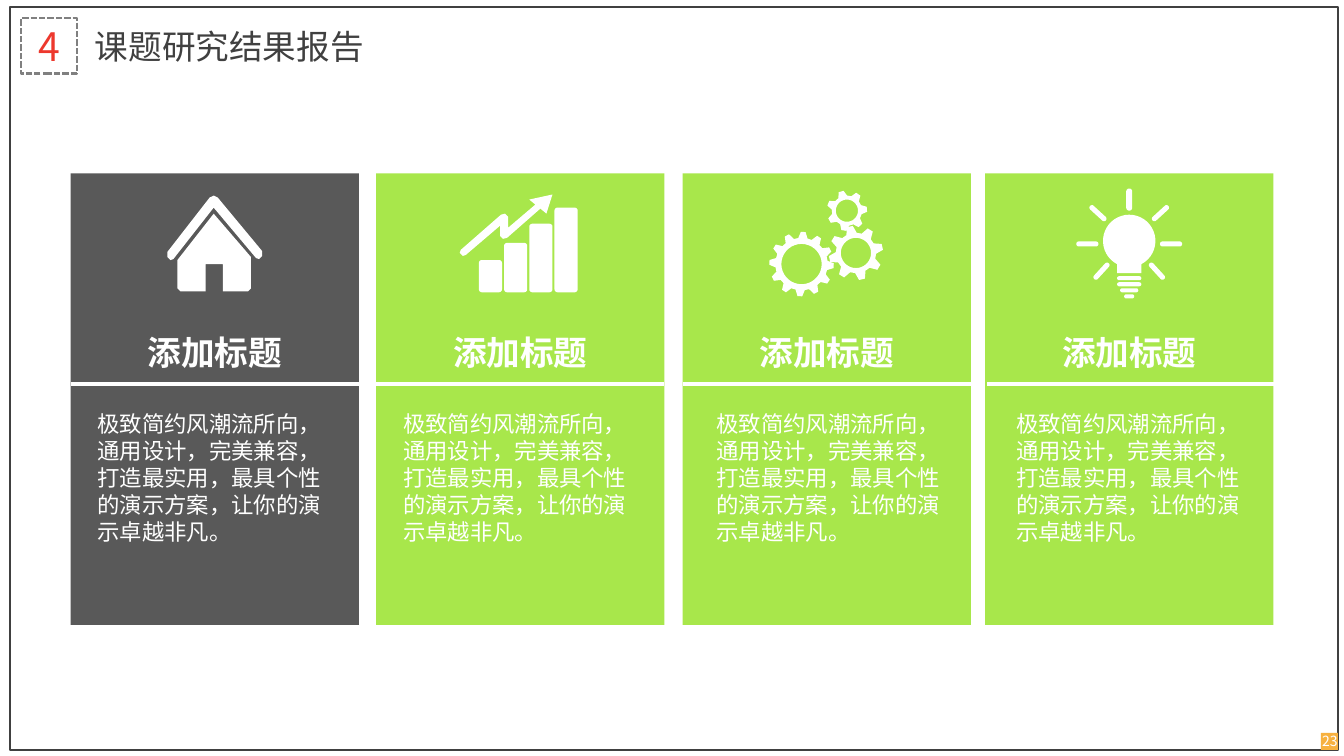
import math
from dataclasses import dataclass

import lxml.etree
import pptx
import pptx.dml.color
import pptx.enum.dml
import pptx.enum.shapes
import pptx.enum.text
import pptx.oxml.ns
import pptx.util

Inches = pptx.util.Inches
Align = pptx.enum.text.PP_ALIGN
ShapeType = pptx.enum.shapes.MSO_SHAPE


@dataclass(frozen=True)
class Theme:
    font: str = "Noto Sans CJK SC"
    ink: str = "404040"
    dash: str = "808080"
    red: str = "ED382D"
    orange: str = "F7B13F"
    gray: str = "595959"
    green: str = "A8E74B"
    white: str = "FFFFFF"
    number: int = 28
    heading: int = 24
    body: int = 16
    page: int = 10
    leading: float = 1.2


def arc(x, y, radius, start=0, end=360, steps=36):
    angles = [math.radians(start + (end - start) * i / steps) for i in range(steps + 1)]
    return [(x + radius * math.cos(a), y + radius * math.sin(a)) for a in angles]


def strip(x1, y1, x2, y2, width):
    angle = math.degrees(math.atan2(y2 - y1, x2 - x1))
    return (arc(x2, y2, width / 2, angle - 90, angle + 90, 8)
            + arc(x1, y1, width / 2, angle + 90, angle + 270, 8))


def rounded_box(left, top, right, bottom, radius):
    corners = [(right - radius, bottom - radius), (left + radius, bottom - radius),
               (left + radius, top + radius), (right - radius, top + radius)]
    return [point for i, (x, y) in enumerate(corners)
            for point in arc(x, y, radius, 90 * i, 90 * i + 90, 4)]


def gear(x, y, outer, root, hole, teeth, phase):
    pitch = 360 / teeth
    profile = [(-0.34, root), (-0.14, outer), (0.14, outer), (0.34, root)]
    rim = []
    for tooth in range(teeth):
        for offset, radius in profile:
            angle = math.radians(phase + pitch * (tooth + offset))
            rim.append((x + radius * math.cos(angle), y + radius * math.sin(angle)))
    return [rim, arc(x, y, hole)]


def house():
    walls = [(2.12, 2.12), (2.49, 2.55), (2.49, 2.86), (2.46, 2.89), (2.21, 2.89),
             (2.21, 2.62), (2.04, 2.62), (2.04, 2.89), (1.79, 2.89), (1.76, 2.86),
             (1.76, 2.58)]
    roof = [(2.12, 1.94), (2.16, 1.96), (2.6, 2.49), (2.6, 2.54), (2.57, 2.57),
            (2.54, 2.56), (2.12, 2.06), (1.72, 2.57), (1.69, 2.58), (1.66, 2.55),
            (1.66, 2.5), (2.08, 1.96)]
    return [walls, roof]


def growth():
    arrow = [(5.48, 1.93), (5.42, 2.12), (5.36, 2.07), (5.03, 2.36), (4.99, 2.37),
             (4.96, 2.34), (4.96, 2.24), (4.62, 2.53), (4.59, 2.54), (4.56, 2.51),
             (4.57, 2.48), (4.97, 2.13), (5.01, 2.12), (5.04, 2.15), (5.04, 2.26),
             (5.31, 2.03), (5.25, 1.98)]
    bars = [rounded_box(4.75 + 0.25 * i, top, 4.98 + 0.25 * i, 2.9, 0.03)
            for i, top in enumerate([2.58, 2.41, 2.22, 2.06])]
    return bars + [arrow]


def bulb():
    center = 11.2
    glass = arc(center, 2.39, 0.26, 117.5, 422.5)
    outlines = [glass + [(center + 0.12, 2.71), (center - 0.12, 2.71)],
                strip(center, 1.9, center, 2.06, 0.06)]
    for i, half in enumerate([0.1, 0.1, 0.07, 0.03]):
        y = 2.76 + 0.06 * i
        outlines.append(strip(center - half, y, center + half, y, 0.04))
    rays = [(0.37, 2.06, 0.25, 2.17), (0.5, 2.42, 0.33, 2.42), (0.22, 2.63, 0.33, 2.75)]
    for side in (-1, 1):
        for x1, y1, x2, y2 in rays:
            outlines.append(strip(center + side * x1, y1, center + side * x2, y2, 0.05))
    return outlines


class SlideBuilder:
    def __init__(self, presentation, theme):
        self.theme = theme
        self.slide = presentation.slides.add_slide(presentation.slide_layouts[5])

    def color(self, value):
        return pptx.dml.color.RGBColor.from_string(value)

    def fill_text(self, shape, text, size, color, align=Align.LEFT, bold=False, middle=True):
        frame = shape.text_frame
        frame.word_wrap = True
        frame.auto_size = pptx.enum.text.MSO_AUTO_SIZE.NONE
        anchor = pptx.enum.text.MSO_ANCHOR
        frame.vertical_anchor = anchor.MIDDLE if middle else anchor.TOP
        paragraph = frame.paragraphs[0]
        paragraph.alignment = align
        paragraph.line_spacing = pptx.util.Pt(size * self.theme.leading)
        run = paragraph.add_run()
        run.text = text
        run.font.size = pptx.util.Pt(size)
        run.font.bold = bold
        run.font.name = self.theme.font
        run.font.color.rgb = self.color(color)
        east_asian = lxml.etree.SubElement(run.font._element, pptx.oxml.ns.qn("a:ea"))
        east_asian.set("typeface", self.theme.font)

    def title(self, box, text):
        shape = self.slide.shapes.title
        shape.left, shape.top, shape.width, shape.height = map(Inches, box)
        self.fill_text(shape, text, self.theme.heading, self.theme.ink)

    def text(self, box, text, size, **style):
        shape = self.slide.shapes.add_textbox(*map(Inches, box))
        self.fill_text(shape, text, size, self.theme.white, **style)

    def rectangle(self, box, fill=None, line=None, width=1, dash=None):
        shape = self.slide.shapes.add_shape(ShapeType.RECTANGLE, *map(Inches, box))
        shape.shadow.inherit = False
        if fill:
            shape.fill.solid()
            shape.fill.fore_color.rgb = self.color(fill)
        else:
            shape.fill.background()
        if line:
            shape.line.color.rgb = self.color(line)
            shape.line.width = pptx.util.Pt(width)
            shape.line.dash_style = dash
        else:
            shape.line.fill.background()
        return shape

    def section_number(self, box, text):
        shape = self.rectangle(box, line=self.theme.dash, width=1.5,
                               dash=pptx.enum.dml.MSO_LINE.SQUARE_DOT)
        frame = shape.text_frame
        frame.margin_left = frame.margin_right = frame.margin_top = frame.margin_bottom = 0
        self.fill_text(shape, text, self.theme.number, self.theme.red, Align.CENTER)

    def divider(self, left, right, y):
        line = self.slide.shapes.add_connector(
            pptx.enum.shapes.MSO_CONNECTOR.STRAIGHT, *map(Inches, (left, y, right, y)))
        line.line.color.rgb = self.color(self.theme.white)
        line.line.width = pptx.util.Pt(2.25)
        lxml.etree.SubElement(line._element.spPr, pptx.oxml.ns.qn("a:effectLst"))

    def icon(self, outlines):
        contours = [[(Inches(x), Inches(y)) for x, y in outline] for outline in outlines]
        builder = self.slide.shapes.build_freeform(*contours[0][0], scale=1.0)
        for i, contour in enumerate(contours):
            if i:
                builder.move_to(*contour[0])
            builder.add_line_segments(contour[1:], close=True)
        shape = builder.convert_to_shape()
        shape.shadow.inherit = False
        shape.fill.solid()
        shape.fill.fore_color.rgb = self.color(self.theme.white)
        shape.line.fill.background()

    def card(self, left, fill, body_left, line_left, icons):
        self.rectangle((left, 1.72, 2.86, 4.48), fill)
        self.text((body_left, 4.02, 2.56, 1.45),
                  "极致简约风潮流所向，通用设计，完美兼容，打造最实用，最具个性的演示方案，让你的演示卓越非凡。",
                  self.theme.body, middle=False)
        self.text((left + 0.59, 3.24, 1.68, 0.5), "添加标题", self.theme.heading,
                  align=Align.CENTER, bold=True)
        self.divider(line_left, line_left + 2.86, 3.81)
        for outlines in icons:
            self.icon(outlines)


def main():
    theme = Theme()
    presentation = pptx.Presentation()
    presentation.slide_width, presentation.slide_height = Inches(13.33), Inches(7.5)
    page = SlideBuilder(presentation, theme)
    page.rectangle((0.1, 0.07, 13.17, 7.37), line=theme.ink)
    page.section_number((0.21, 0.18, 0.55, 0.55), "4")
    page.title((0.84, 0.18, 3.59, 0.55), "课题研究结果报告")
    page.rectangle((13.1, 7.27, 0.17, 0.17), theme.orange)
    page.text((12.97, 7.27, 0.44, 0.17), "23", theme.page, align=Align.CENTER)
    gears = [gear(7.95, 2.62, 0.32, 0.26, 0.2, 12, 3),
             gear(8.49, 2.51, 0.27, 0.2, 0.15, 8, -13),
             gear(8.4, 2.09, 0.2, 0.15, 0.11, 7, -4)]
    page.card(0.7, theme.gray, 0.87, 0.7, [house()])
    page.card(3.73, theme.green, 3.9, 3.73, [growth()])
    page.card(6.77, theme.green, 7.01, 6.77, gears)
    page.card(9.77, theme.green, 9.98, 9.79, [bulb()])
    presentation.save("out.pptx")


if __name__ == "__main__":
    main()
